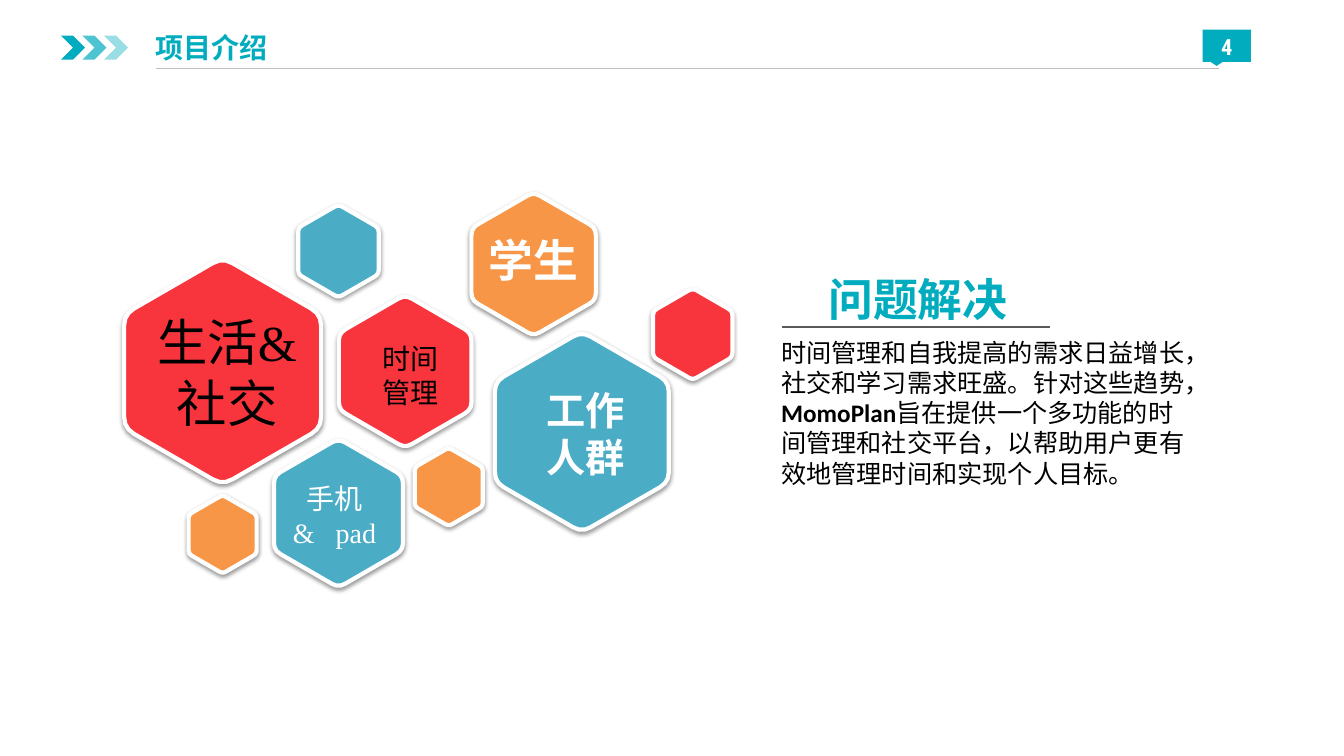
"""Build the project introduction slide with its hexagon cluster."""
import math

from lxml import etree
from pptx import Presentation
from pptx import util as u
from pptx.dml.color import RGBColor
from pptx.enum import shapes, text
from pptx.oxml import ns

TEAL, RED, ORANGE, BLUE = "01ACBE", "F8353D", "F79646", "4BACC6"
WHITE, BLACK = "FFFFFF", "000000"
SANS, SERIF, BODY = "Noto Sans CJK SC", "Times New Roman", "Calibri"
CENTER = text.PP_ALIGN.CENTER
CORNER_STEPS = 3

HEXAGONS = [
    (159.1, 265.2, 140.8, RED),
    (381.4, 188.6, 89, ORANGE),
    (415.8, 308.5, 124.3, BLUE),
    (289.6, 265.3, 94.8, RED),
    (495.1, 238.6, 56.8, RED),
    (241.9, 366.5, 92.2, BLUE),
    (241.9, 179.3, 57.6, BLUE),
    (320.7, 347.8, 48.6, ORANGE),
    (159.1, 381.6, 48.6, ORANGE),
]


def color(value):
    return RGBColor.from_string(value)


def add_element(parent, tag, **attributes):
    return etree.SubElement(parent, ns.qn(tag), attributes)


def add_run(paragraph, words, font, size, fill, bold=False):
    run = paragraph.add_run()
    run.text = words
    run.font.size = u.Pt(size)
    run.font.bold = bold
    run.font.color.rgb = color(fill)
    run.font.name = font
    add_element(run.font._element, "a:ea", typeface=SANS)


def hexagon_points(x, y, width):
    radius = width / math.sqrt(3)
    corners = [(x + radius * math.sin(k * math.pi / 3),
                y - radius * math.cos(k * math.pi / 3)) for k in range(6)]
    points = []
    for k, corner in enumerate(corners):
        start, end = ([c + 0.1 * (n - c) for c, n in zip(corner, neighbour)]
                      for neighbour in (corners[k - 1], corners[(k + 1) % 6]))
        for step in range(CORNER_STEPS + 1):
            t = step / CORNER_STEPS
            points.append(tuple(
                u.Pt((1 - t) ** 2 * s + 2 * t * (1 - t) * c + t ** 2 * e)
                for s, c, e in zip(start, corner, end)))
    return points


class SlideBuilder:
    """Hold the slide and draw its elements, measured in points."""

    def __init__(self, slide, line_height=1.2):
        self.slide = slide
        self.line_height = line_height

    def shape(self, kind, left, top, width, height, fill, opacity=100):
        shape = self.slide.shapes.add_shape(
            kind, u.Pt(left), u.Pt(top), u.Pt(width), u.Pt(height))
        shape.fill.solid()
        shape.fill.fore_color.rgb = color(fill)
        shape.line.fill.background()
        shape.shadow.inherit = False
        if opacity < 100:
            tint = shape._element.spPr.find(".//" + ns.qn("a:srgbClr"))
            add_element(tint, "a:alpha", val=str(opacity * 1000))

    def hexagon(self, x, y, width, fill):
        first, *others = hexagon_points(x, y, width)
        builder = self.slide.shapes.build_freeform(*first)
        builder.add_line_segments(others, close=True)
        shape = builder.convert_to_shape()
        shape.fill.solid()
        shape.fill.fore_color.rgb = color(fill)
        shape.line.color.rgb = color(WHITE)
        shape.line.width = u.Pt(3)
        shape.shadow.inherit = False
        effects = shape._element.spPr.find(ns.qn("a:effectLst"))
        shadow = add_element(effects, "a:outerShdw", blurRad=str(u.Pt(3.1)),
                             dist=str(u.Pt(1.6)), dir="5400000", rotWithShape="0")
        tint = add_element(shadow, "a:srgbClr", val=BLACK)
        add_element(tint, "a:alpha", val="38000")

    def line(self, left, right, y, fill, width):
        line = self.slide.shapes.add_connector(
            shapes.MSO_CONNECTOR.STRAIGHT, u.Pt(left), u.Pt(y), u.Pt(right), u.Pt(y))
        line.line.color.rgb = color(fill)
        line.line.width = u.Pt(width)
        add_element(line._element.spPr, "a:effectLst")

    def text(self, left, top, width, height, words, size, align=None,
             inset=(7.2, 3.6), **style):
        box = self.slide.shapes.add_textbox(
            u.Pt(left), u.Pt(top), u.Pt(width), u.Pt(height))
        frame = box.text_frame
        frame.word_wrap = True
        frame.margin_left = frame.margin_right = u.Pt(inset[0])
        frame.margin_top = frame.margin_bottom = u.Pt(inset[1])
        paragraph = frame.paragraphs[0]
        paragraph.alignment = align
        paragraph.line_spacing = u.Pt(size * self.line_height)
        if words:
            add_run(paragraph, words, size=size, **style)
        return frame


def draw_header(builder):
    for k, opacity in enumerate((100, 70, 40)):
        builder.shape(shapes.MSO_SHAPE.CHEVRON, 43.5 + 15.4 * k, 25.4, 17.3, 17.3,
                      TEAL, opacity)
    builder.text(106.2, 19.2, 175.7, 29.5, "项目介绍", 20, inset=(5, 2.9),
                 font=SANS, fill=TEAL, bold=True)
    builder.line(111.6, 871.2, 49, "BFBFBF", 0.75)
    builder.shape(shapes.MSO_SHAPE.RECTANGULAR_CALLOUT, 859.4, 21.2, 34.6, 23, TEAL)
    builder.text(859.4, 20.9, 34.6, 24.5, "4", 16, CENTER, inset=(5, 2.9),
                 font="Roboto Condensed", fill=WHITE, bold=True)


def draw_cluster(builder):
    for hexagon in HEXAGONS:
        builder.hexagon(*hexagon)
    builder.text(94.3, 218.9, 136, 94.3, "生活&社交", 36, CENTER, font=SERIF, fill=BLACK)
    builder.text(372.2, 272.5, 92.2, 74.9, "工作人群", 28, CENTER,
                 font=SANS, fill=WHITE, bold=True)
    builder.text(257.8, 240.5, 71.3, 55.4, "时间管理", 20, CENTER, font=SERIF, fill=BLACK)
    builder.text(341.6, 162.7, 79.2, 46, "学生", 32, CENTER,
                 font=SANS, fill=WHITE, bold=True)
    platforms = builder.text(202.3, 340.6, 79.2, 55.4, "手机", 20, font=SERIF, fill=WHITE)
    platforms.paragraphs[0]._p.get_or_add_pPr().set("marL", str(u.Pt(9.5)))
    second = platforms.add_paragraph()
    second.line_spacing = u.Pt(20 * builder.line_height)
    tabs = add_element(second._p.get_or_add_pPr(), "a:tabLst")
    add_element(tabs, "a:tab", pos=str(u.Pt(30.5)), algn="l")
    add_run(second, "&\tpad", SERIF, 20, WHITE)


def draw_solution(builder):
    builder.text(552, 190.8, 208, 46, "问题解决", 32, CENTER,
                 font=SANS, fill=TEAL, bold=True)
    builder.line(558.7, 750.2, 233.7, "595959", 1.5)
    solution = builder.text(551.2, 237.1, 303.1, 135.4, "", 18)
    for words, bold in (
        ("时间管理和自我提高的需求日益增长，社交和学习需求旺盛。针对这些趋势，", False),
        ("MomoPlan", True),
        ("旨在提供一个多功能的时间管理和社交平台，以帮助用户更有效地管理时间和实现个人目标。", False),
    ):
        add_run(solution.paragraphs[0], words, BODY, 18, BLACK, bold)


def main():
    presentation = Presentation()
    presentation.slide_width = u.Pt(960.5)
    presentation.slide_height = u.Pt(540)
    builder = SlideBuilder(presentation.slides.add_slide(presentation.slide_layouts[6]))
    draw_header(builder)
    draw_cluster(builder)
    draw_solution(builder)
    presentation.save("out.pptx")


if __name__ == "__main__":
    main()
